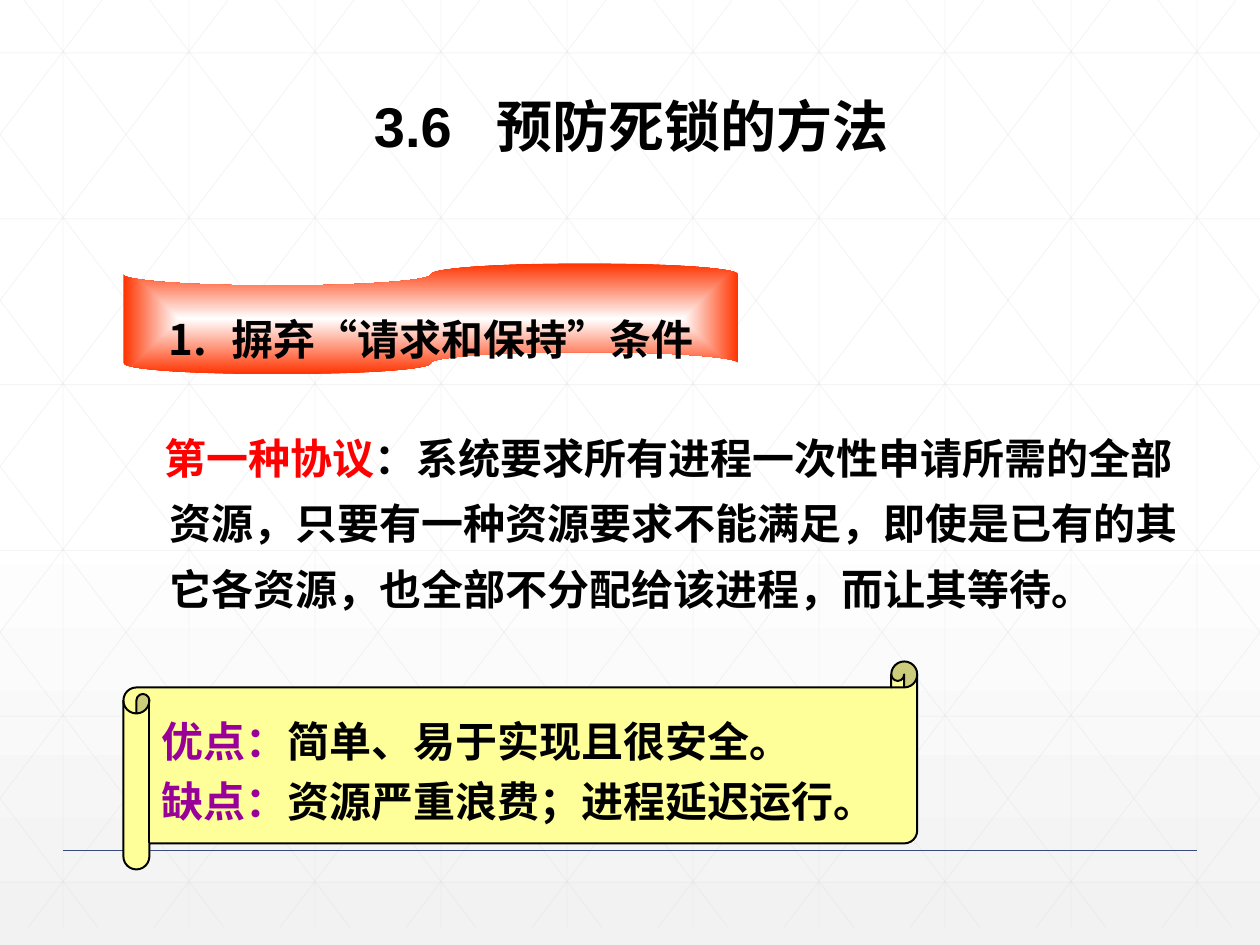
from dataclasses import dataclass

from pptx import Presentation, oxml
from pptx import util as u
from pptx.dml import color
from pptx.enum import shapes, text
from pptx.oxml import ns


@dataclass(frozen=True)
class Theme:
    """Colours, font and type sizes of the slide."""
    font: str = "Arial"
    title: int = 32
    body: int = 24
    ink: str = "000000"
    red: str = "FF0000"
    purple: str = "990099"
    paper: str = "FFFF99"
    tape: str = "FF3300"
    white: str = "FFFFFF"
    mist: str = "F2F2F2"
    grid: str = "D9D9D9"
    rule: str = "384C81"


LINEAR = '<a:lin ang="5400000" scaled="0"/>'
FROM_CENTRE = ('<a:path path="rect"><a:fillToRect l="50000" t="50000" '
               'r="50000" b="50000"/></a:path>')


def rgb(value):
    """Return a colour from its hex code."""
    return color.RGBColor.from_string(value)


def element(tag, attributes="", inner=""):
    """Return a drawing element."""
    return oxml.parse_xml(f'<a:{tag} {ns.nsdecls("a")} {attributes}>{inner}</a:{tag}>')


def set_gradient(parent, stops, direction):
    """Replace the solid fill of a parent element by a gradient."""
    inner = "".join(f'<a:gs pos="{pos * 1000}"><a:srgbClr val="{value}"/></a:gs>'
                    for pos, value in stops)
    gradient = element("gradFill", 'rotWithShape="1"', f"<a:gsLst>{inner}</a:gsLst>{direction}")
    parent.replace(parent.find(ns.qn("a:solidFill")), gradient)


class Board:
    """Draw styled elements on one slide, with lengths in percent of its size."""

    def __init__(self, prs, theme):
        self.prs, self.theme = prs, theme
        self.s = prs.slides.add_slide(prs.slide_layouts[6])

    def place(self, *shares):
        """Turn alternating x and y shares into lengths."""
        sides = (self.prs.slide_width, self.prs.slide_height)
        return [round(sides[i % 2] * share / 100) for i, share in enumerate(shares)]

    def background(self, stops):
        """Fill the background from top to bottom."""
        self.s.background.fill.solid()
        set_gradient(self.s.element.find(".//" + ns.qn("p:bgPr")), stops, LINEAR)

    def line(self, ends, value, width, opacity=100):
        """Draw a straight line between two points."""
        sp = self.s.shapes.add_connector(shapes.MSO_CONNECTOR.STRAIGHT, *self.place(*ends))
        sp.line.color.rgb = rgb(value)
        sp.line.width = u.Pt(width)
        sp.element.spPr.append(element("effectLst"))
        if opacity < 100:
            clr = sp.element.spPr.find(".//" + ns.qn("a:srgbClr"))
            clr.append(element("alpha", f'val="{opacity * 1000}"'))

    def lattice(self):
        """Draw the faint grid and its mirrored diagonals."""
        bottom, run = 98.27, 55.95
        ends = [(x, 0, x, bottom) for x in range(5, 100, 10)]
        ends += [(0, 5.6 + 17.55 * i, 100, 5.6 + 17.55 * i) for i in range(6)]
        for i in range(-5, 10):
            start = 1.9 + 10 * i
            x1, x2 = max(0, start), min(100, start + run)
            y1, y2 = [(x - start) * bottom / run for x in (x1, x2)]
            ends += [(x1, y1, x2, y2), (100 - x1, y1, 100 - x2, y2)]
        for line in ends:
            self.line(line, self.theme.grid, 0.5, 25)

    def shape(self, kind, box, fill, outline=None):
        """Draw a preset shape with text that does not wrap."""
        sp = self.s.shapes.add_shape(kind, *self.place(*box))
        sp.shadow.inherit = False
        sp.fill.solid()
        sp.fill.fore_color.rgb = rgb(fill)
        if outline:
            sp.line.color.rgb = rgb(outline)
            sp.line.width = u.Pt(1.13)
        else:
            sp.line.fill.background()
        sp.text_frame.word_wrap = False
        return sp

    def textbox(self, box):
        """Add a wrapping text box."""
        sp = self.s.shapes.add_textbox(*self.place(*box))
        sp.text_frame.word_wrap = True
        return sp

    def add_text(self, sp, paragraphs, size, spacing=1.0, indent=None, extra=None,
                 align=text.PP_ALIGN.LEFT):
        """Fill a shape with paragraphs of (text, colour) runs."""
        tf = sp.text_frame
        for i, runs in enumerate(paragraphs):
            p = tf.add_paragraph() if i else tf.paragraphs[0]
            pPr = p._p.get_or_add_pPr()
            if indent:
                for name, inches in zip(("marL", "indent"), indent):
                    pPr.set(name, str(u.Inches(inches)))
            if extra is not None:
                pPr.append(extra)
            p.line_spacing, p.alignment = spacing, align
            for content, value in runs:
                r = p.add_run()
                r.text = content
                r.font.name, r.font.size, r.font.bold = self.theme.font, u.Pt(size), True
                r.font.color.rgb = rgb(value)


def main():
    """Build the slide and save it."""
    prs = Presentation()
    prs.slide_width, prs.slide_height = u.Inches(10), u.Inches(7.5)
    t = Theme()
    b = Board(prs, t)
    b.background([(0, t.white), (53, t.white), (100, t.mist)])
    b.lattice()
    b.line((5, 90, 95, 90), t.rule, 1)

    tab = element("tabLst", inner=f'<a:tab pos="{u.Inches(0.97)}" algn="l"/>')
    b.add_text(b.textbox((28.7, 9.07, 44, 8.53)), [[("3.6\t预防死锁的方法", t.ink)]],
               t.title, extra=tab)

    b.add_text(b.textbox((7.5, 43.47, 88.1, 30.67)), [[
        ("第一种协议", t.red),
        ("：系统要求所有进程一次性申请所需的全部资源，只要有一种资源要求不能满足，"
         "即使是已有的其它各资源，也全部不分配给该进程，而让其等待。", t.ink),
    ]], t.body, 1.3, (0.5, -0.04))

    tape = b.shape(shapes.MSO_SHAPE.FLOWCHART_PUNCHED_TAPE, (9.8, 27.87, 48.8, 11.73), t.tape)
    set_gradient(tape.element.spPr, [(0, t.white), (100, t.tape)], FROM_CENTRE)
    b.add_text(tape, [[("摒弃“请求和保持”条件", t.ink)]], t.body, 1.8, (0.5, -0.5),
               element("buAutoNum", 'type="arabicPeriod"'), text.PP_ALIGN.CENTER)

    scroll = b.shape(shapes.MSO_SHAPE.HORIZONTAL_SCROLL, (9.8, 70, 63, 22), t.paper, t.ink)
    b.add_text(scroll, [
        [("优点：", t.purple), ("简单、易于实现且很安全。", t.ink)],
        [("缺点：", t.purple), ("资源严重浪费；进程延迟运行。", t.ink)],
    ], t.body, 1.2)
    prs.save("out.pptx")


if __name__ == "__main__":
    main()
